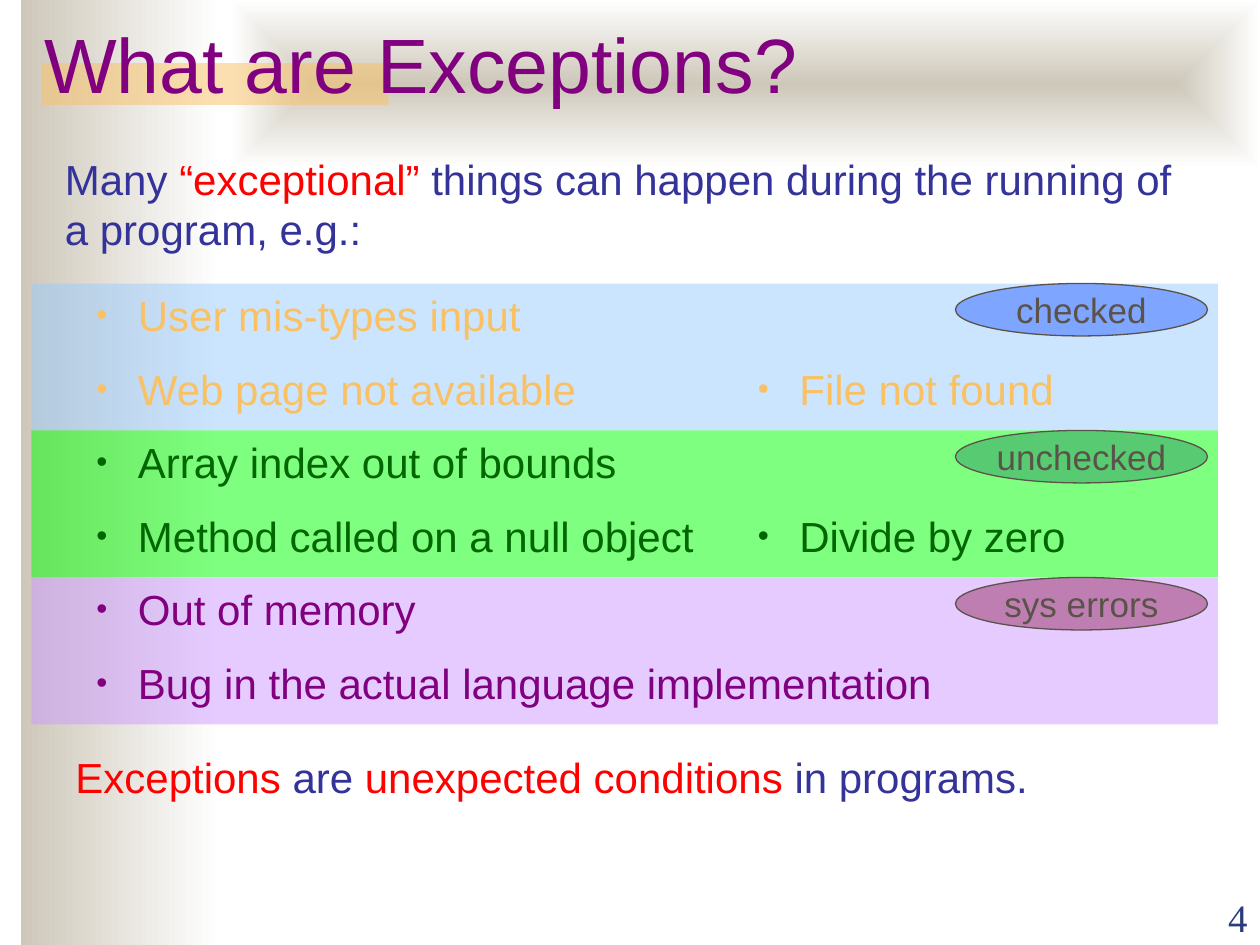
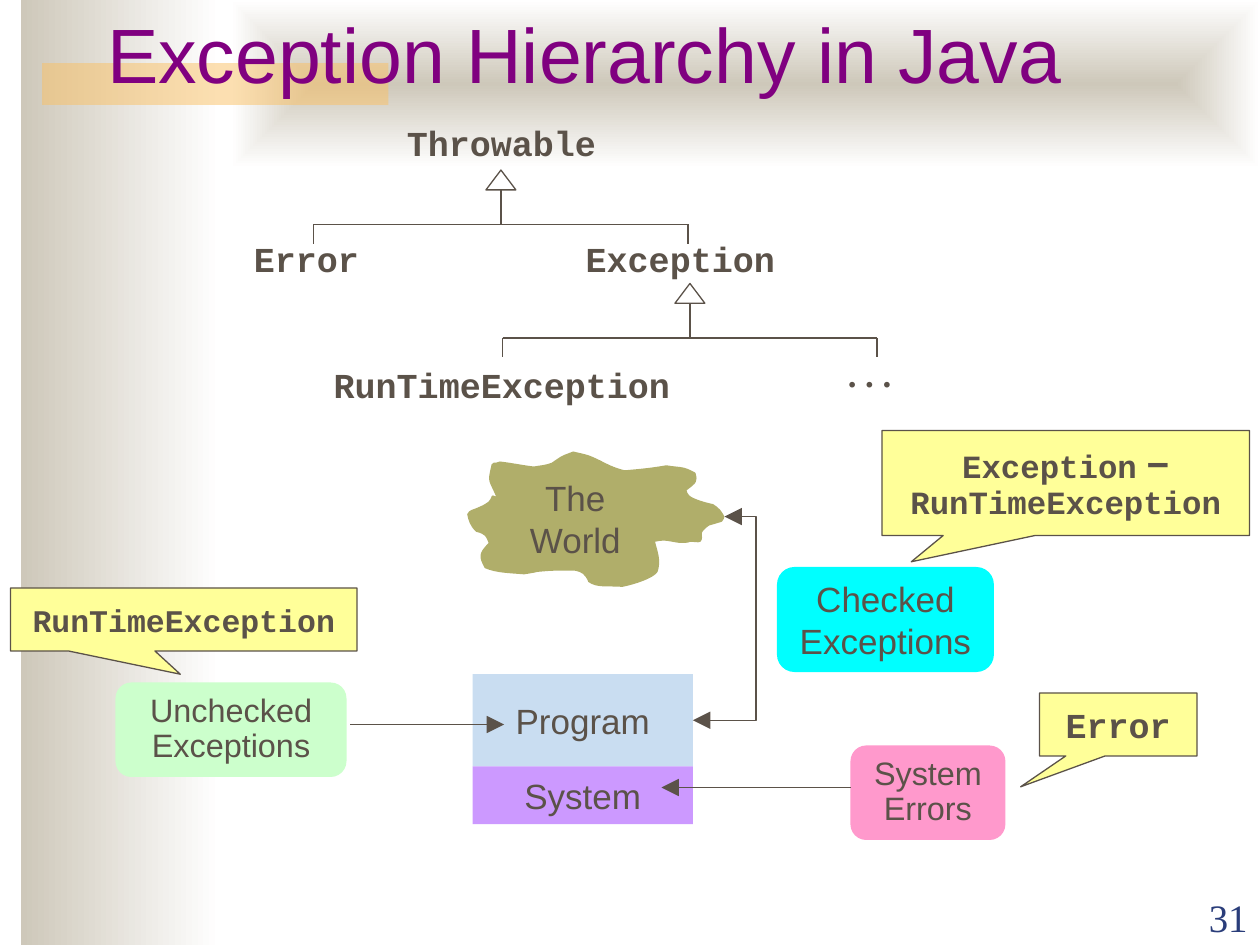
from collections import namedtuple

from lxml.etree import SubElement
from pptx import Presentation
from pptx.dml.color import RGBColor
from pptx.enum.shapes import MSO_CONNECTOR as CONN, MSO_SHAPE as SHAPE
from pptx.enum.text import MSO_ANCHOR as ANCHOR, MSO_AUTO_SIZE as AUTO, PP_ALIGN as ALIGN
from pptx.oxml.ns import qn
from pptx.util import Emu, Inches, Pt

COLS, ROWS = 120, 90
CELL = Inches(10) / COLS

STONE = RGBColor(0xCE, 0xC8, 0xBA)
WHITE = RGBColor(0xFF, 0xFF, 0xFF)
AMBER = RGBColor(0xFA, 0xC1, 0x64)
BROWN = RGBColor(0x5B, 0x52, 0x49)
PURPLE = RGBColor(0x80, 0x00, 0x80)
NAVY = RGBColor(0x2A, 0x3D, 0x7A)
INDIGO = RGBColor(0x33, 0x33, 0x99)
RED = RGBColor(0xFF, 0x00, 0x00)
DARK_GREEN = RGBColor(0x00, 0x66, 0x00)
GREEN = RGBColor(0x00, 0xFF, 0x00)
SKY = RGBColor(0x99, 0xCC, 0xFF)
LILAC = RGBColor(0xCC, 0x99, 0xFF)
BLUE = RGBColor(0x33, 0x66, 0xFF)
SEA = RGBColor(0x33, 0x99, 0x66)
PLUM = RGBColor(0x99, 0x33, 0x66)
MINT = RGBColor(0xCC, 0xFF, 0xCC)
PINK = RGBColor(0xFF, 0x99, 0xCC)
PALE_BLUE = RGBColor(0xC9, 0xDD, 0xF1)
OLIVE = RGBColor(0xB0, 0xAE, 0x6A)
CYAN = RGBColor(0x00, 0xFF, 0xFF)
YELLOW = RGBColor(0xFF, 0xFF, 0x99)

ARIAL, COURIER, TIMES = "Arial", "Courier New", "Times New Roman"

Run = namedtuple("Run", "text color size face bold", defaults=(BROWN, 20, ARIAL, False))

BLOB = [
    (23, 36), (17, 22), (16, 25), (19, 12), (19, 11), (19, 10), (21, 9), (22, 9), (24, 9), (26, 8),
    (35, 9), (44, 11), (53, 12), (58, 11), (62, 11), (67, 9), (68, 9), (69, 7), (70, 7),
    (77, 2), (77, 3), (84, 0), (88, 1), (93, 2), (96, 3), (107, 7), (112, 12), (125, 15),
    (137, 14), (147, 13), (158, 11), (163, 12), (168, 12), (172, 13), (176, 14), (181, 17), (181, 17),
    (183, 24), (182, 25), (174, 31), (175, 32), (174, 34), (176, 35), (179, 38), (190, 41), (195, 42),
    (200, 45), (202, 48), (204, 52), (203, 53), (204, 55), (202, 56), (199, 57), (192, 59), (192, 59),
    (189, 61), (187, 63), (186, 65), (186, 67), (187, 70), (185, 72), (183, 73), (180, 72), (177, 72),
    (175, 73), (172, 73), (169, 73), (160, 72), (158, 70), (149, 72), (151, 80), (154, 87), (151, 96),
    (148, 101), (133, 106), (123, 108), (110, 107), (103, 109), (96, 104), (96, 103), (93, 97), (89, 96),
    (87, 95), (85, 95), (82, 95), (67, 95), (67, 95), (56, 96), (52, 97), (45, 98), (45, 98),
    (34, 97), (23, 97), (14, 93), (9, 84), (9, 81), (17, 73), (15, 68), (15, 66), (7, 64),
    (2, 59), (1, 55), (0, 50), (2, 46), (4, 47), (10, 44), (13, 43), (17, 40), (17, 40),
    (21, 35), (18, 34), (23, 36),
]
BLOB_W, BLOB_H = 204, 108


def emu(*cells):
    """Turn grid cells into lengths."""
    return [Emu(round(c * CELL)) for c in cells]


def write(sp, runs, align=ALIGN.LEFT, anchor=ANCHOR.TOP, wrap=True, spacing=None):
    """Write one paragraph of runs into a shape."""
    tf = sp.text_frame
    tf.word_wrap = wrap
    tf.vertical_anchor = anchor
    p = tf.paragraphs[0]
    p.alignment = align
    p.line_spacing = spacing
    for run in runs:
        r = p.add_run()
        r.text = run.text
        r.font.name, r.font.size, r.font.bold = run.face, Pt(run.size), run.bold
        r.font.color.rgb = run.color
    return p


def text(s, box, *runs, **layout):
    """Add a text box."""
    return write(s.shapes.add_textbox(*emu(*box)), runs, **layout)


def shape(s, kind, box, fill=None, alpha=None, outline=False):
    """Add a flat preset shape."""
    sp = s.shapes.add_shape(kind, *emu(*box))
    sp.shadow.inherit = False
    if fill is None:
        sp.fill.background()
    else:
        sp.fill.solid()
        sp.fill.fore_color.rgb = fill
    if alpha:
        clr = sp.element.spPr.find(".//" + qn("a:srgbClr"))
        SubElement(clr, qn("a:alpha"), val=str(alpha * 1000))
    if outline:
        sp.line.color.rgb = BROWN
        sp.line.width = Pt(0.75)
    else:
        sp.line.fill.background()
    return sp


def label(sp, *runs, **layout):
    """Centre text inside a shape."""
    write(sp, runs, align=ALIGN.CENTER, anchor=ANCHOR.MIDDLE, **layout)


def line(s, start, end, kind=CONN.STRAIGHT, arrows=()):
    """Add a thin connector with optional arrowheads."""
    c = s.shapes.add_connector(kind, *emu(*start, *end))
    c.line.color.rgb = BROWN
    c.line.width = Pt(0.75)
    spPr = c.element.spPr
    for arrow in arrows:
        SubElement(spPr.find(qn("a:ln")), qn("a:" + arrow), type="triangle", w="lg", len="lg")
    SubElement(spPr, qn("a:effectLst"))
    return c


def gradient(s, box, from_centre=False):
    """Add a rectangle fading from stone to white."""
    sp = shape(s, SHAPE.RECTANGLE, box)
    sp.fill.gradient()
    sp.fill.gradient_angle = 0
    for stop, color, place in zip(sp.fill.gradient_stops, (STONE, WHITE), (0, 1)):
        stop.color.rgb = color
        stop.position = place
    if from_centre:
        grad = sp.element.spPr.find(qn("a:gradFill"))
        grad.remove(grad.find(qn("a:lin")))
        rect = SubElement(grad, qn("a:path"), path="rect")
        SubElement(rect, qn("a:fillToRect"), l="50000", t="50000", r="50000", b="50000")
    return sp


def decorate(layout, s):
    """Build the side band, top band and title accent, and store them in the layout."""
    parts = [gradient(s, (2, 0, 19, ROWS)),
             gradient(s, (22, 0, COLS - 22, 16), from_centre=True),
             shape(s, SHAPE.RECTANGLE, (4, 6, 33, 4), AMBER, alpha=50)]
    for i, sp in enumerate(parts):
        layout.element.cSld.spTree.insert(2 + i, sp.element)


def heading(s, title, box, number):
    """Fill the title and the slide number."""
    sp = s.shapes.title
    sp.left, sp.top, sp.width, sp.height = emu(*box)
    write(sp, [Run(title, PURPLE, 44)], anchor=ANCHOR.BOTTOM)
    sp.text_frame.auto_size = AUTO.NONE
    text(s, (COLS - 12, 84.1, 12, 6), Run(number, NAVY, 22.2, TIMES),
         align=ALIGN.RIGHT, anchor=ANCHOR.BOTTOM)


def bullet(s, box, words, color):
    """Add a one-line bulleted text box."""
    pPr = text(s, box, Run(words, color, 24))._p.get_or_add_pPr()
    pPr.set("marL", str(Inches(0.33)))
    pPr.set("indent", str(-Inches(0.33)))
    SubElement(SubElement(pPr, qn("a:buClr")), qn("a:srgbClr"), val=str(color))
    SubElement(pPr, qn("a:buSzPct"), val="75000")
    SubElement(pPr, qn("a:buFont"), typeface=ARIAL)
    SubElement(pPr, qn("a:buChar"), char="•")


def category(s, box, fill, tag, tag_fill, color, rows):
    """Add one band with its tag and rows of bullets."""
    x, y, w, h = box
    shape(s, SHAPE.RECTANGLE, box, fill, alpha=50)
    for i, row in enumerate(rows):
        for col, (words, width) in zip((5, 68), row):
            bullet(s, (x + col, y + i * h / 2, width, 6), words, color)
    oval = shape(s, SHAPE.OVAL, (x + w - 25, y, 24, 5), tag_fill, alpha=50, outline=True)
    label(oval, Run(tag), wrap=False)


def exceptions_slide(s):
    """Explain what exceptions are, by category."""
    heading(s, "What are Exceptions?", (3, 4, 113, 7), "4")
    text(s, (5, 14, 110, 10.8), Run("Many ", INDIGO, 24), Run("“exceptional”", RED, 24),
         Run(" things can happen during the running of a program, e.g.:", INDIGO, 24))
    categories = [
        (SKY, "checked", BLUE, AMBER,
         [[("User mis-types input", 66)],
          [("Web page not available", 76), ("File not found", 39)]]),
        (GREEN, "unchecked", SEA, DARK_GREEN,
         [[("Array index out of bounds", 59)],
          [("Method called on a null object", 74), ("Divide by zero", 37)]]),
        (LILAC, "sys errors", PLUM, PURPLE,
         [[("Out of memory", 39)],
          [("Bug in the actual language implementation", 96)]]),
    ]
    for i, parts in enumerate(categories):
        category(s, (3, 27 + 14 * i, 113, 14), *parts)
    text(s, (6, 71, 110, 6), Run("Exceptions", RED, 24), Run(" are ", INDIGO, 24),
         Run("unexpected conditions", RED, 24), Run(" in programs.", INDIGO, 24))


def code(words, size=20):
    """Make a bold monospaced run."""
    return Run(words, BROWN, size, COURIER, True)


def inheritance(s, box):
    """Draw an inheritance fork: a triangle, a trunk and two legs."""
    x, y, w, h = box
    g = s.shapes.add_group_shape()
    mid, bar = x + w / 2, y + 0.74 * h
    head_w, head_h = 0.08 * w, 0.27 * h
    shape(g, SHAPE.ISOSCELES_TRIANGLE, (mid - head_w / 2, y, head_w, head_h), outline=True)
    line(g, (x, bar), (x + w, bar))
    line(g, (mid, y + head_h), (mid, bar))
    for leg in (x, x + w):
        line(g, (leg, bar), (leg, y + h))


def hierarchy(s):
    """Draw the class tree."""
    names = [("Throwable", 37.56, 10.95, 20.8), ("Error", 23, 22, 13.6),
             ("Exception", 54.6, 22, 21.5), ("RunTimeException", 30.6, 34, 35)]
    for name, x, y, w in names:
        text(s, (x, y, w, 5.3), code(name))
    text(s, (79.56, 33, 8.8, 5.3), Run(". . .", face=TIMES, bold=True))
    for x, y in ((29.88, 16.2), (47.88, 27)):
        inheritance(s, (x, y, 35.66, 7))


def world(g, box):
    """Draw the world as a curved blob with its name."""
    x, y, w, h = box
    start, *rest = [emu(x + px * w / BLOB_W, y + py * h / BLOB_H) for px, py in BLOB]
    builder = g.shapes.build_freeform(*start)
    builder.add_line_segments(rest, close=True)
    sp = builder.convert_to_shape()
    curve = sp.element.spPr.find(".//" + qn("a:path"))
    lines = curve.findall(qn("a:lnTo"))
    for i in range(0, len(lines), 3):
        bezier = SubElement(curve, qn("a:cubicBezTo"))
        for segment in lines[i:i + 3]:
            bezier.append(segment[0])
            curve.remove(segment)
    curve.append(curve.find(qn("a:close")))
    sp.shadow.inherit = False
    sp.fill.solid()
    sp.fill.fore_color.rgb = OLIVE
    sp.line.fill.background()
    text(g, (x + 0.09 * w, y + 0.14 * h, 0.66 * w, 0.71 * h), Run("The World"), align=ALIGN.CENTER)


def sources(s):
    """Draw the program, its surroundings and where exceptions arise."""
    g = s.shapes.add_group_shape()
    boxes = [
        (SHAPE.ROUNDED_RECTANGLE, (11, 65, 22, 9), MINT, "Unchecked Exceptions", 18.5, 0.9),
        (SHAPE.ROUNDED_RECTANGLE, (81, 71, 14.76, 9), PINK, "System Errors", 18.5, 0.9),
        (SHAPE.ROUNDED_RECTANGLE, (74, 54, 20.66, 10), CYAN, "Checked Exceptions", 20, None),
        (SHAPE.RECTANGLE, (45, 64.2, 21, 8.8), PALE_BLUE, "Program", 20, None),
        (SHAPE.RECTANGLE, (45, 73, 21, 5.5), LILAC, "System", 20, None),
    ]
    for kind, box, fill, words, size, spacing in boxes:
        label(shape(g, kind, box, fill), Run(words, size=size), spacing=spacing)
    world(g, (44.5, 43, 24.5, 12.9))
    bent = line(g, (69, 49.2), (66, 68.6), CONN.ELBOW, ("headEnd", "tailEnd"))
    guides = bent.element.spPr.find(qn("a:prstGeom")).find(qn("a:avLst"))
    SubElement(guides, qn("a:gd"), name="adj1", fmla="val -100000")
    line(g, (33.35, 69), (48, 69), arrows=["tailEnd"])
    line(g, (81, 75), (63, 75), arrows=["tailEnd"])


def callouts(s):
    """Name the class behind each kind of exception."""
    difference = [code("Exception", 18.5), Run(" ", size=22.2, face=TIMES),
                  Run("− ", size=22.2, bold=True), code("RunTimeException", 18.5)]
    for box, tip, runs, spacing in [
            ((99, 66, 15, 6), (-0.62, 0.99), [code("Error")], None),
            ((1, 56, 33, 6), (-0.01, 0.87), [code("RunTimeException", 18)], None),
            ((84, 41, 35, 10), (-0.42, 0.75), difference, 0.9)]:
        sp = shape(s, SHAPE.RECTANGULAR_CALLOUT, box, YELLOW, outline=True)
        sp.adjustments[0], sp.adjustments[1] = tip
        label(sp, *runs, spacing=spacing)


def hierarchy_slide(s):
    """Show the exception classes and where they come from."""
    heading(s, "Exception Hierarchy in Java", (9, 2, 102, 8), "31")
    hierarchy(s)
    sources(s)
    callouts(s)


def main():
    """Build and save the slides."""
    prs = Presentation()
    prs.slide_width, prs.slide_height = emu(COLS, ROWS)
    layout = prs.slide_layouts[5]
    first, second = (prs.slides.add_slide(layout) for _ in range(2))
    decorate(layout, first)
    exceptions_slide(first)
    hierarchy_slide(second)
    prs.save("out.pptx")


if __name__ == "__main__":
    main()
